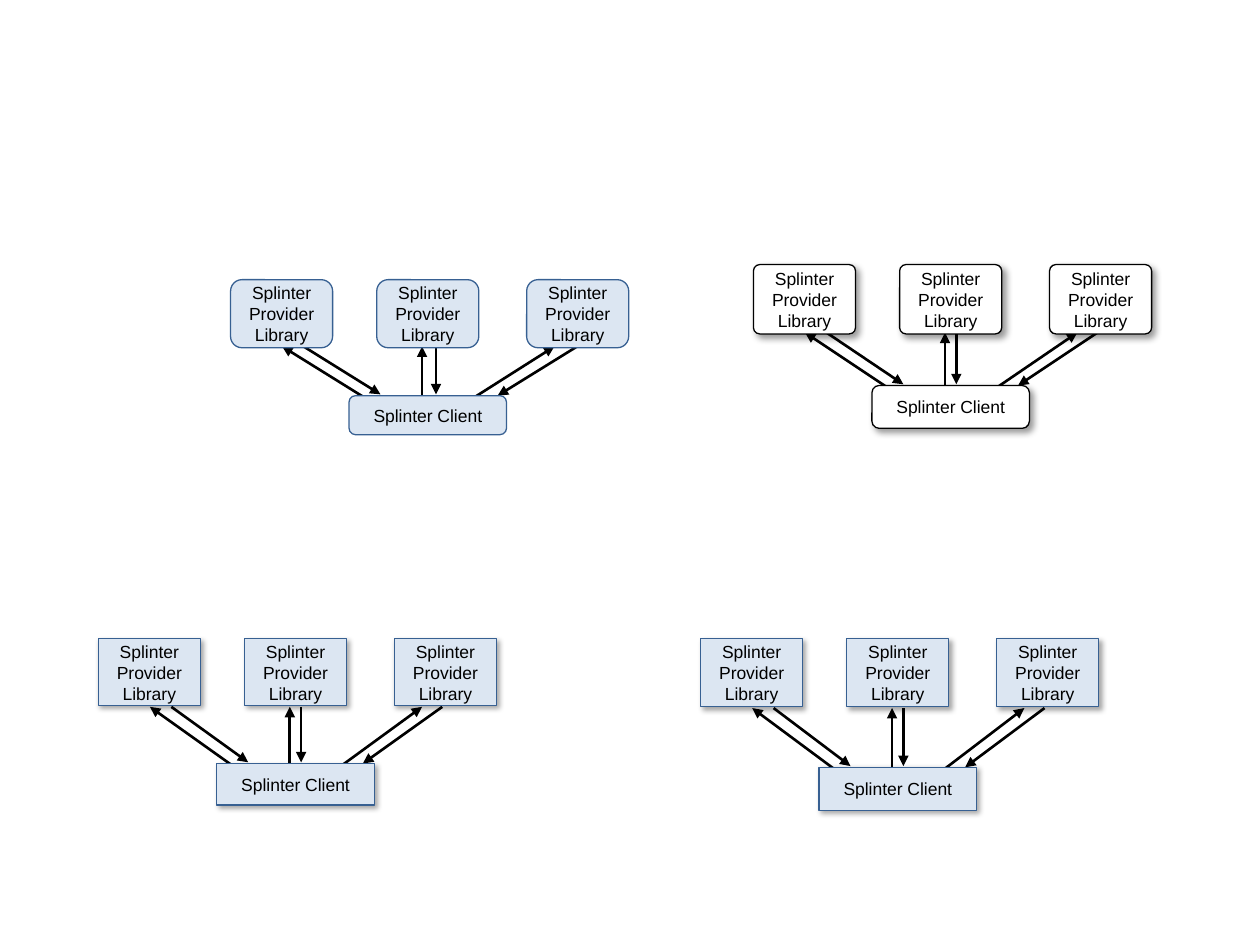
import pptx
import pptx.util
import pptx.dml.color
import pptx.enum.shapes
import pptx.enum.text
import pptx.oxml.ns
import lxml.etree

Inches = pptx.util.Inches
Pt = pptx.util.Pt
qn = pptx.oxml.ns.qn
COLORS = {"ink": "000000", "blue": "DCE6F2", "edge": "376092", "white": "FFFFFF"}
FONT = {"name": "Arial", "size": Pt(10)}
FRAME = {"word_wrap": True, "vertical_anchor": pptx.enum.text.MSO_ANCHOR.MIDDLE}

# Soft and strong shadows: opacity in percent, blur and distance in points
SOFT, STRONG = (35, 3, 2), (40, 4, 3)

# One entry per diagram; port is the height where arrows meet the providers
DIAGRAMS = [
    {"left": 1.83, "top": 2.22, "height": 0.54, "port": 2.75, "client": (3.14, 0.31),
     "corners": (None, None), "fill": "blue", "edge": "edge", "shadow": None, "spread": 0.02},
    {"left": 0.78, "top": 5.07, "height": 0.53, "port": 5.61, "client": (6.06, 0.33),
     "corners": (0, 0), "fill": "blue", "edge": "edge", "shadow": SOFT, "spread": 0},
    {"left": 5.98, "top": 2.10, "height": 0.55, "port": 2.64, "client": (3.06, 0.34),
     "corners": (0.17, 0.09), "fill": "white", "edge": "ink", "shadow": STRONG, "spread": 0},
    {"left": 5.56, "top": 5.07, "height": 0.54, "port": 5.62, "client": (6.09, 0.34),
     "corners": (0, 0), "fill": "blue", "edge": "edge", "shadow": SOFT, "spread": 0},
]


def color(name):
    return pptx.dml.color.RGBColor.from_string(COLORS[name])


def add_box(shapes, text, box, corner, diagram):
    node = shapes.add_shape(pptx.enum.shapes.MSO_SHAPE.ROUNDED_RECTANGLE,
                            *[Inches(length) for length in box])
    if corner is not None:
        node.adjustments[0] = corner
    node.fill.solid()
    node.fill.fore_color.rgb = color(diagram["fill"])
    node.line.color.rgb = color(diagram["edge"])
    node.line.width = Pt(0.75)
    node.shadow.inherit = False
    if diagram["shadow"]:
        opacity, blur, distance = diagram["shadow"]
        effects = node.element.spPr.find(qn("a:effectLst"))
        outer = lxml.etree.SubElement(effects, qn("a:outerShdw"), blurRad=str(Pt(blur)),
                                      dist=str(Pt(distance)), dir=str(45 * 60000),
                                      algn="tl", rotWithShape="0")
        tint = lxml.etree.SubElement(outer, qn("a:srgbClr"), val=COLORS["ink"])
        lxml.etree.SubElement(tint, qn("a:alpha"), val=str(opacity * 1000))
    for key, value in FRAME.items():
        setattr(node.text_frame, key, value)
    label = node.text_frame.paragraphs[0]
    label.text = text
    label.alignment = pptx.enum.text.PP_ALIGN.CENTER
    for key, value in FONT.items():
        setattr(label.font, key, value)
    label.font.color.rgb = color("ink")


deck = pptx.Presentation()
deck.slide_width, deck.slide_height = Inches(10), Inches(7.5)
slide = deck.slides.add_slide(deck.slide_layouts[6])

for diagram in DIAGRAMS:
    shapes = slide.shapes.add_group_shape().shapes
    left, port, spread = diagram["left"], diagram["port"], diagram["spread"]
    client_top, client_height = diagram["client"]

    # Request and reply arrows: from x, from y, to x, to y
    arrows = [
        (1.61 + spread, port, 1.61 + spread, client_top - 0.01),
        (1.52, client_top + 0.06, 1.52, port),
        (1.07, client_top + 0.02, 0.41, port),
        (1.94, client_top + 0.01, 2.57, port),
        (2.73 + spread, port, 2.10 + spread, client_top),
        (0.58, port, 1.19, client_top - 0.01),
    ]
    for from_x, from_y, to_x, to_y in arrows:
        arrow = shapes.add_connector(pptx.enum.shapes.MSO_CONNECTOR.STRAIGHT,
                                     Inches(left + from_x), Inches(from_y),
                                     Inches(left + to_x), Inches(to_y))
        arrow.line.color.rgb = color("ink")
        arrow.line.width = Pt(1.5)
        properties = arrow.element.spPr
        lxml.etree.SubElement(properties.find(qn("a:ln")), qn("a:tailEnd"), type="triangle")
        lxml.etree.SubElement(properties, qn("a:effectLst"))

    # Client below, providers above
    client_corner, provider_corner = diagram["corners"]
    add_box(shapes, "Splinter Client", (left + 0.94, client_top, 1.25, client_height),
            client_corner, diagram)
    for offset in (1.16, 0, 2.35):
        add_box(shapes, "Splinter Provider Library",
                (left + offset, diagram["top"], 0.81, diagram["height"]),
                provider_corner, diagram)

deck.save("out.pptx")
